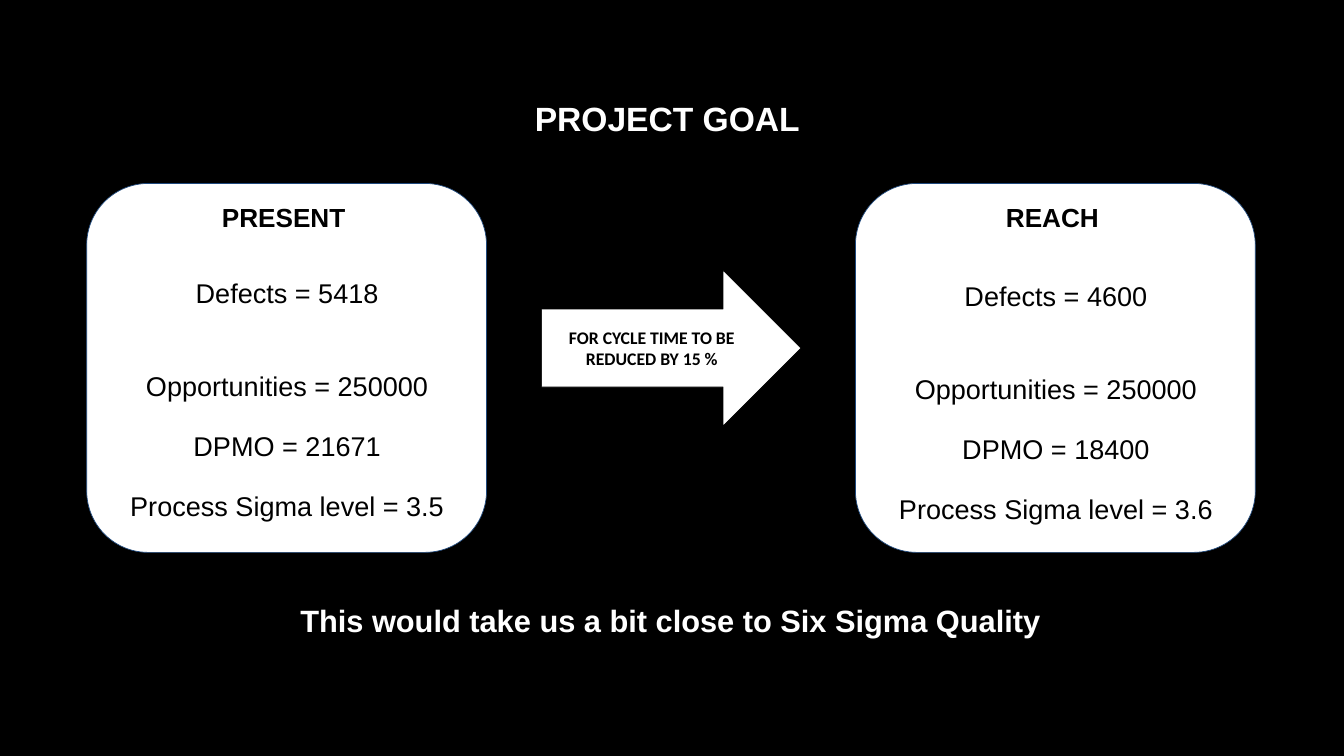
from dataclasses import dataclass

from pptx import Presentation
from pptx import util as u
from pptx.dml.color import RGBColor
from pptx.enum import shapes, text


@dataclass(frozen=True)
class Theme:
    dark: str = "000000"
    light: str = "FFFFFF"
    edge: str = "1F497D"
    font: str = "Arial"
    label: str = "Calibri"
    title: int = 36
    closing: int = 33
    body: int = 29
    head: int = 28
    note: int = 19


class Deck:
    """Holds the theme and the current slide."""

    def __init__(self, theme):
        self.theme = theme
        self.file = Presentation()
        self.file.slide_width = u.Inches(20)
        self.file.slide_height = u.Inches(11.25)
        self.slide = self.file.slides.add_slide(self.file.slide_layouts[6])
        back = self.slide.background.fill
        back.solid()
        back.fore_color.rgb = RGBColor.from_string(theme.dark)

    def set_text(self, shape, lines, size, color, bold=False, font=None, center=True):
        frame = shape.text_frame
        frame.word_wrap = True
        frame.margin_left = frame.margin_right = u.Inches(0.1)
        frame.margin_top = frame.margin_bottom = u.Inches(0.1)
        frame.text = "\n".join(lines)
        for para in frame.paragraphs:
            para.alignment = text.PP_ALIGN.CENTER if center else text.PP_ALIGN.LEFT
            para.font.name = font or self.theme.font
            para.font.size = u.Pt(size)
            para.font.bold = bold
            para.font.color.rgb = RGBColor.from_string(color)
        return frame

    def label(self, box, lines, *style, **more):
        shape = self.slide.shapes.add_textbox(*map(u.Inches, box))
        return self.set_text(shape, lines, *style, **more)

    def shape(self, kind, box, edge):
        shape = self.slide.shapes.add_shape(kind, *map(u.Inches, box))
        shape.shadow.inherit = False
        shape.fill.solid()
        shape.fill.fore_color.rgb = RGBColor.from_string(self.theme.light)
        shape.line.color.rgb = RGBColor.from_string(edge)
        shape.line.width = u.Pt(0.75)
        return shape

    def card(self, left, head, facts, top):
        """Draw a rounded card; top is where its facts begin."""
        look = self.theme
        kind = shapes.MSO_SHAPE.ROUNDED_RECTANGLE
        self.shape(kind, (left, 2.73, 5.95, 5.49), look.edge)
        self.label((left + 1, 2.9, 3.86, 0.68), [head], look.head, look.dark, bold=True)
        frame = self.label((left + 0.52, top, 4.93, 4.16), facts, look.body, look.dark)
        rest = frame.paragraphs[1:]
        for para in rest:
            para.line_spacing = 1.85
        rest[0].space_before = u.Pt(35)

    def arrow(self, box, words):
        look = self.theme
        shape = self.shape(shapes.MSO_SHAPE.RIGHT_ARROW, box, look.dark)
        frame = self.set_text(shape, [words], look.note, look.dark, bold=True, font=look.label)
        frame.vertical_anchor = text.MSO_ANCHOR.MIDDLE


def main():
    look = Theme()
    deck = Deck(look)
    deck.label((7.86, 1.35, 4.28, 0.9), ["PROJECT GOAL"],
               look.title, look.light, bold=True, center=False)

    cards = [
        (1.29, "PRESENT", 5418, 21671, 3.5, 4.02),
        (12.73, "REACH", 4600, 18400, 3.6, 4.06),
    ]
    for left, head, defects, dpmo, sigma, top in cards:
        facts = [
            f"Defects = {defects}",
            "Opportunities = 250000",
            f"DPMO = {dpmo}",
            f"Process Sigma level = {sigma}",
        ]
        deck.card(left, head, facts, top)

    deck.arrow((8.06, 4.02, 3.86, 2.32), "FOR CYCLE TIME TO BE REDUCED BY 15 %")
    deck.label((4.37, 8.86, 11.26, 1.16),
               ["This would take us a bit close to Six Sigma Quality"],
               look.closing, look.light, bold=True, center=False)
    deck.file.save("out.pptx")


if __name__ == "__main__":
    main()
